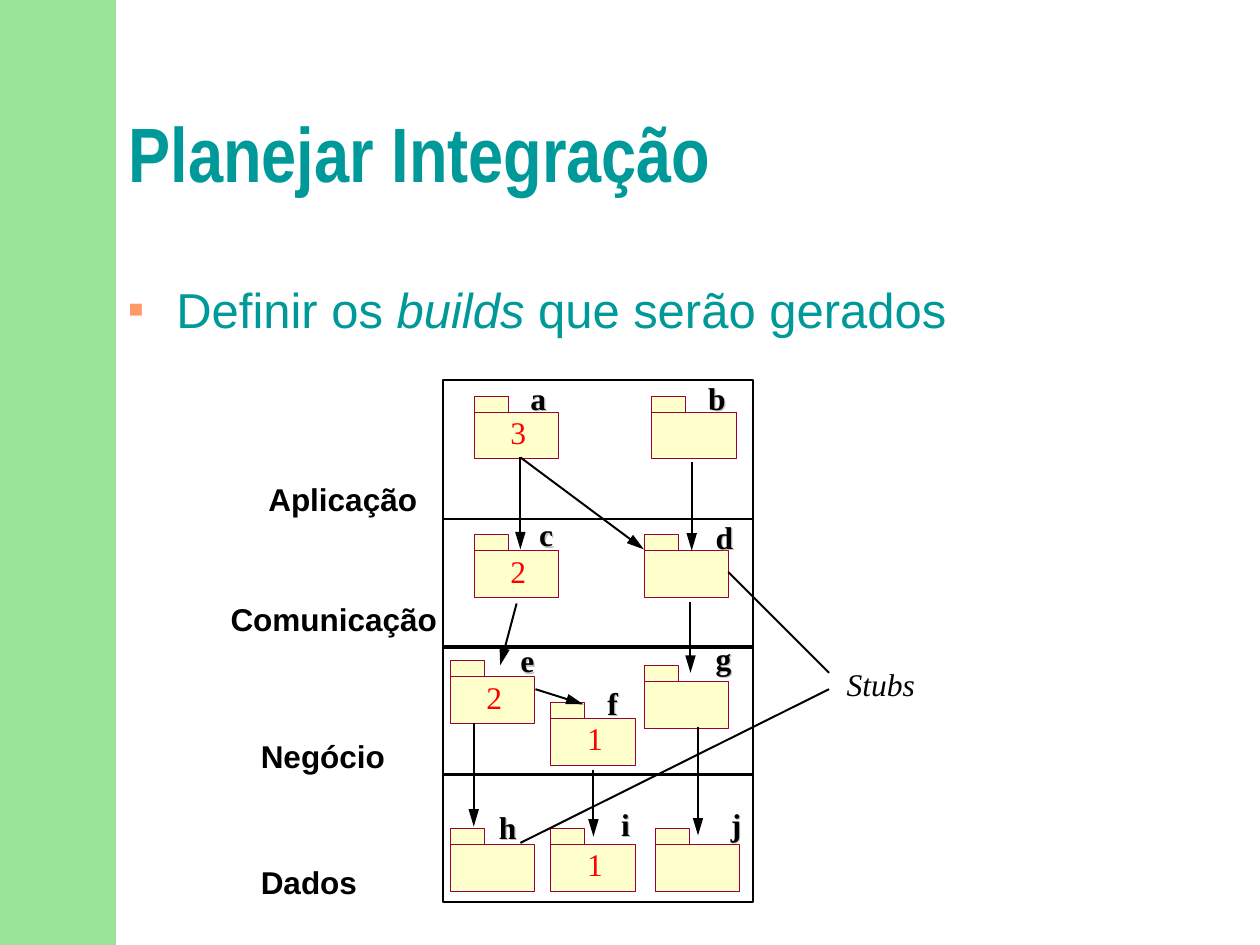
"""Build the slide on planning the integration of builds by layer."""
from typing import NamedTuple

from lxml.etree import SubElement as Sub
from pptx import Presentation as Deck
from pptx.dml.color import RGBColor as Rgb
from pptx.enum.shapes import MSO_CONNECTOR as Conn, MSO_SHAPE as Form
from pptx.enum.text import MSO_ANCHOR as Anchor, MSO_AUTO_SIZE as Auto, PP_ALIGN as Align
from pptx.oxml.ns import qn
from pptx.util import Inches, Pt

COLS, ROWS = 100, 75
WIDE, HIGH = Inches(10), Inches(7.5)
TEAL, INK, RED, GREY = "009999", "000000", "FF0000", "C0C0C0"
SERIF, SANS = "Times New Roman", "Arial"


class Box(NamedTuple):
    x: float
    y: float
    w: float
    h: float


class Pack(NamedTuple):
    name: str
    x: float
    y: float
    tag_x: float
    tag_y: float
    build: str = ""


class Link(NamedTuple):
    x1: float
    y1: float
    x2: float
    y2: float
    head: bool = True


class Layer(NamedTuple):
    name: str
    top: float
    high: float
    x: float
    y: float
    w: float


LAYERS = [
    Layer("Aplicação", 30.2, 11, 21.3, 38.1, 13),
    Layer("Comunicação", 41.2, 10.2, 18.3, 47.6, 17),
    Layer("Negócio", 51.3, 10.2, 20.7, 58.5, 11),
    Layer("Dados", 61.4, 10.2, 20.7, 68.5, 9),
]
PACKS = [
    Pack("a", 37.6, 31.4, 42.1, 30.1, "3"),
    Pack("b", 51.7, 31.4, 56.2, 30.1),
    Pack("c", 37.6, 42.4, 42.8, 40.9, "2"),
    Pack("d", 51.1, 42.4, 56.8, 41.1),
    Pack("e", 35.7, 52.4, 41.3, 50.9, "2"),
    Pack("f", 43.7, 55.7, 48.2, 54.3, "1"),
    Pack("g", 51.1, 52.8, 56.8, 50.7),
    Pack("h", 35.7, 65.7, 39.6, 64.1),
    Pack("i", 43.7, 65.7, 49.3, 63.9, "1"),
    Pack("j", 52, 65.7, 58, 63.9),
]
LINKS = [
    Link(41.3, 36.3, 41.3, 43.6),
    Link(41.3, 36.3, 51.1, 43.6),
    Link(54.9, 36.7, 54.9, 43.7),
    Link(41, 47.9, 39.7, 52.8),
    Link(54.8, 47.8, 54.8, 53.4),
    Link(42.5, 54.7, 46.3, 55.9),
    Link(37.6, 57.4, 37.6, 65.6),
    Link(47.1, 61.1, 47.1, 66.4),
    Link(55.4, 57.7, 55.4, 66.3),
    Link(65.8, 53.4, 57.8, 45.4, False),
    Link(65.8, 54.7, 41.3, 66.9, False),
]


def grid(*nums: float) -> list[int]:
    """Turn alternating columns and rows into slide lengths."""
    return [round(n * (HIGH / ROWS if k % 2 else WIDE / COLS)) for k, n in enumerate(nums)]


def tint(fmt, hue: str) -> None:
    """Give a fill or a line format a solid colour."""
    if hasattr(fmt, "solid"):
        fmt.solid()
        fmt.fore_color.rgb = Rgb.from_string(hue)
    else:
        fmt.color.rgb = Rgb.from_string(hue)


def style(font, hue: str, **looks) -> None:
    """Set font values and colour."""
    for key, val in looks.items():
        setattr(font, key, val)
    font.color.rgb = Rgb.from_string(hue)


def rect(slide, box: Box, fill: str = "", edge: str = "", thick: float = 1.13):
    """Draw a plain rectangle."""
    shape = slide.shapes.add_shape(Form.RECTANGLE, *grid(*box))
    shape.shadow.inherit = False
    if fill:
        tint(shape.fill, fill)
    else:
        shape.fill.background()
    if edge:
        tint(shape.line, edge)
        shape.line.width = Pt(thick)
    else:
        shape.line.fill.background()
    return shape


def label(slide, box: Box, text: str, hue: str = INK, face: str = SERIF, **looks) -> None:
    """Write a one-line label without margins."""
    frame = slide.shapes.add_textbox(*grid(*box)).text_frame
    traits = dict(margin_left=0, margin_top=0, margin_right=0, margin_bottom=0,
                  word_wrap=True, auto_size=Auto.NONE)
    for key, val in traits.items():
        setattr(frame, key, val)
    run = frame.paragraphs[0].add_run()
    run.text = text
    style(run.font, hue, name=face, size=Pt(18), **looks)


def folder(slide, pack: Pack) -> None:
    """Draw a package folder with its build number."""
    for box in (Box(pack.x, pack.y + 1.3, 6.7, 3.7), Box(pack.x, pack.y, 2.7, 1.3)):
        rect(slide, box, "FFFFCC", "990033", 0.11)
    if pack.build:
        label(slide, Box(pack.x + 2.9, pack.y + 1.4, 1.6, 3), pack.build, RED)


def tag(slide, pack: Pack) -> None:
    """Write a package name over its grey shade."""
    for gap, hue in ((0.1, GREY), (0, INK)):
        box = Box(pack.tag_x + gap, pack.tag_y + gap, 1.6, 3)
        label(slide, box, pack.name, hue, bold=True)


def join(slide, link: Link) -> None:
    """Draw a line, with an arrowhead where asked."""
    line = slide.shapes.add_connector(Conn.STRAIGHT, *grid(*link[:4]))
    tint(line.line, INK)
    line.line.width = Pt(1.13)
    props = line._element.spPr
    if link.head:
        Sub(props.find(qn("a:ln")), qn("a:tailEnd"), type="triangle", w="med", len="lg")
    Sub(props, qn("a:effectLst"))


def place(holder, box: Box, anchor):
    """Move a placeholder and return its first paragraph."""
    spots = zip(("left", "top", "width", "height"), grid(*box))
    for key, val in spots:
        setattr(holder, key, val)
    frame = holder.text_frame
    for key, val in dict(vertical_anchor=anchor, word_wrap=True, auto_size=Auto.NONE).items():
        setattr(frame, key, val)
    par = frame.paragraphs[0]
    par.alignment = Align.LEFT
    par.space_before = Pt(0)
    return par


def write(slide) -> None:
    """Fill the title and the list."""
    head = place(slide.shapes.title, Box(9.2, 6.7, 88.3, 12.5), Anchor.MIDDLE)
    head.line_spacing = 0.7
    run = head.add_run()
    run.text = "Planejar Integração"
    style(run.font, TEAL, name="Arial Narrow", size=Pt(44), bold=True)
    item = place(slide.placeholders[1], Box(9.2, 21.7, 88.3, 45), Anchor.TOP)
    item.space_after = Pt(3)
    props = item._p.get_or_add_pPr()
    props.set("marL", str(Inches(0.38)))
    props.set("indent", str(-Inches(0.38)))
    Sub(Sub(props, qn("a:buClr")), qn("a:srgbClr"), val="FF9966")
    Sub(props, qn("a:buSzPct"), val="50000")
    Sub(props, qn("a:buFont"), typeface=SANS)
    Sub(props, qn("a:buChar"), char="■")
    for text, slant in (("Definir os ", False), ("builds", True), (" que serão gerados", False)):
        run = item.add_run()
        run.text = text
        style(run.font, TEAL, name=SANS, size=Pt(28), italic=slant)


def main() -> None:
    """Build and save the deck."""
    deck = Deck()
    deck.slide_width, deck.slide_height = WIDE, HIGH
    slide = deck.slides.add_slide(deck.slide_layouts[1])
    bar = rect(slide, Box(0, 0, 9.2, ROWS), "33CC33")
    Sub(bar._element.spPr.find(".//" + qn("a:srgbClr")), qn("a:alpha"), val="50000")
    write(slide)
    for lay in LAYERS:
        rect(slide, Box(35.2, lay.top, 24.6, lay.high), edge=INK)
        label(slide, Box(lay.x, lay.y, lay.w, 3), lay.name, face=SANS, bold=True)
    for draw, parts in ((folder, PACKS), (join, LINKS), (tag, PACKS)):
        for part in parts:
            draw(slide, part)
    label(slide, Box(67.2, 52.8, 7, 3), "Stubs", italic=True)
    deck.save("out.pptx")


if __name__ == "__main__":
    main()
